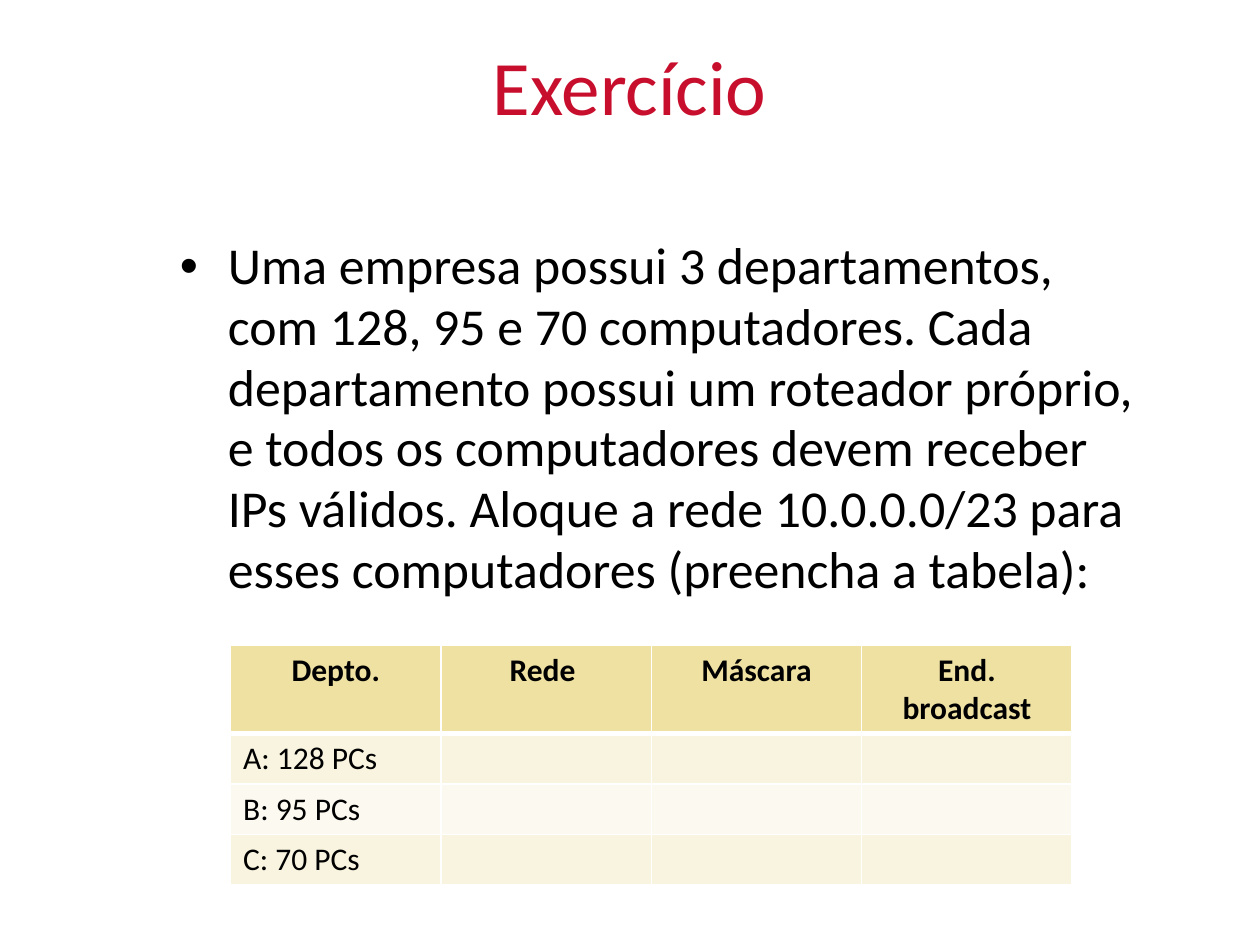
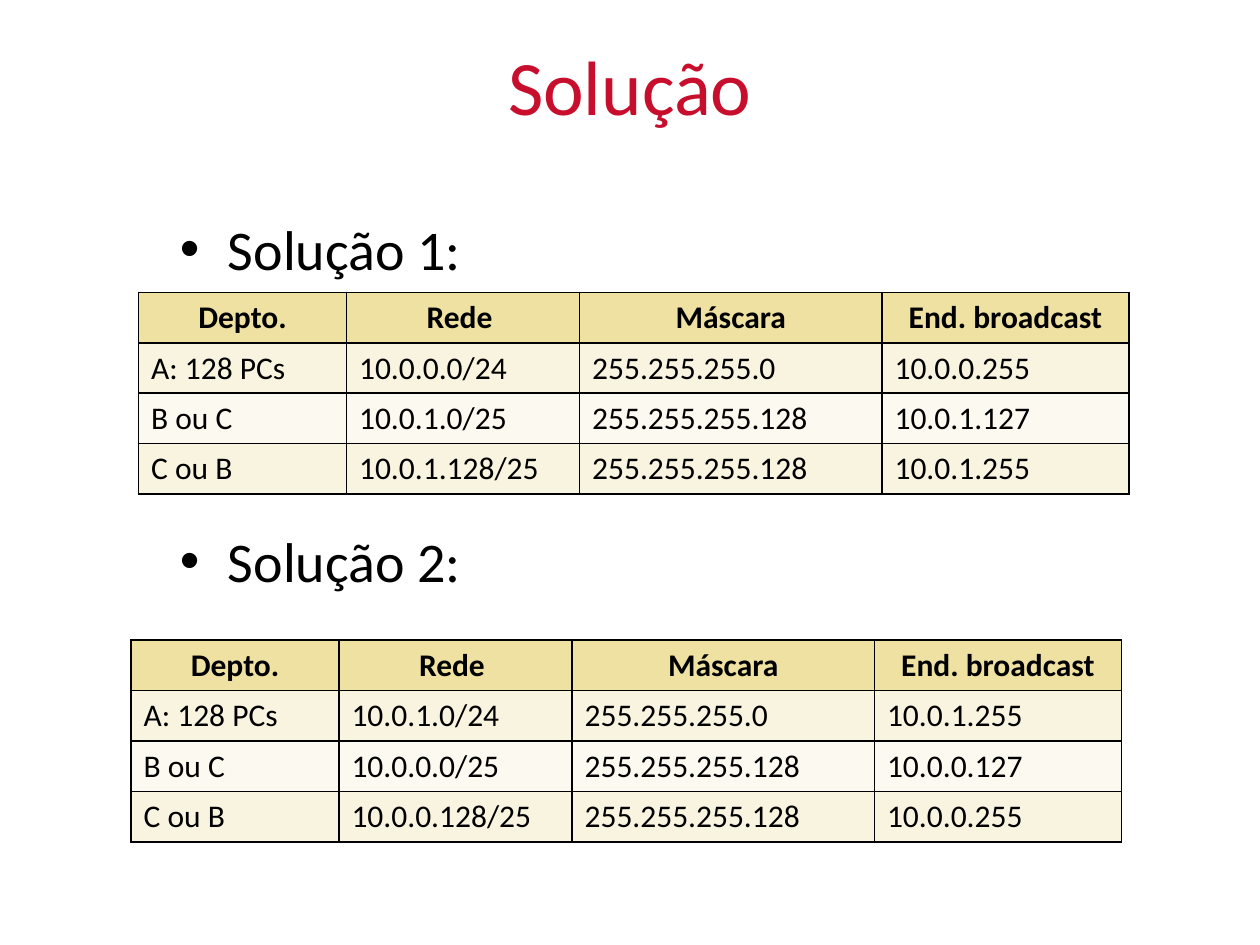
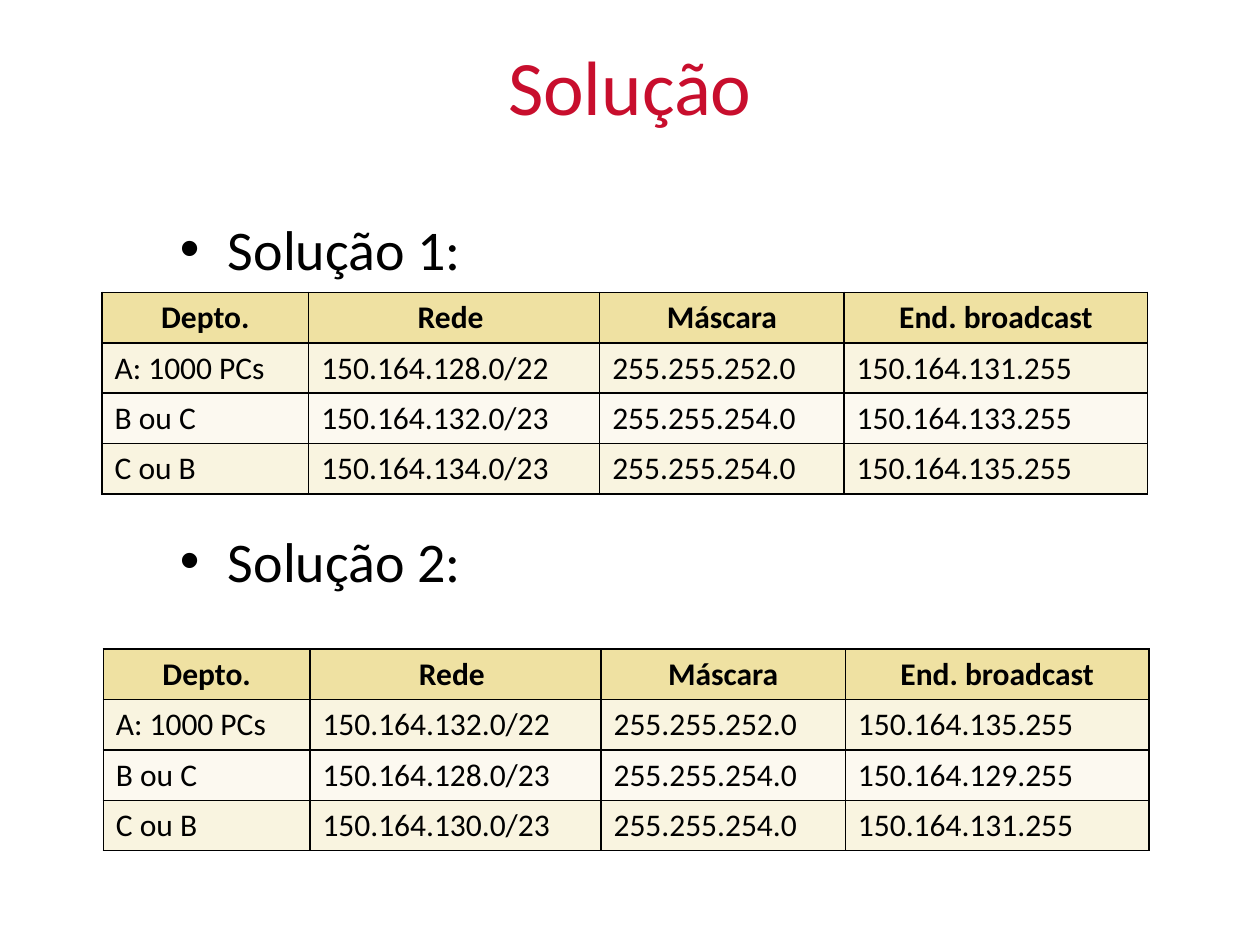
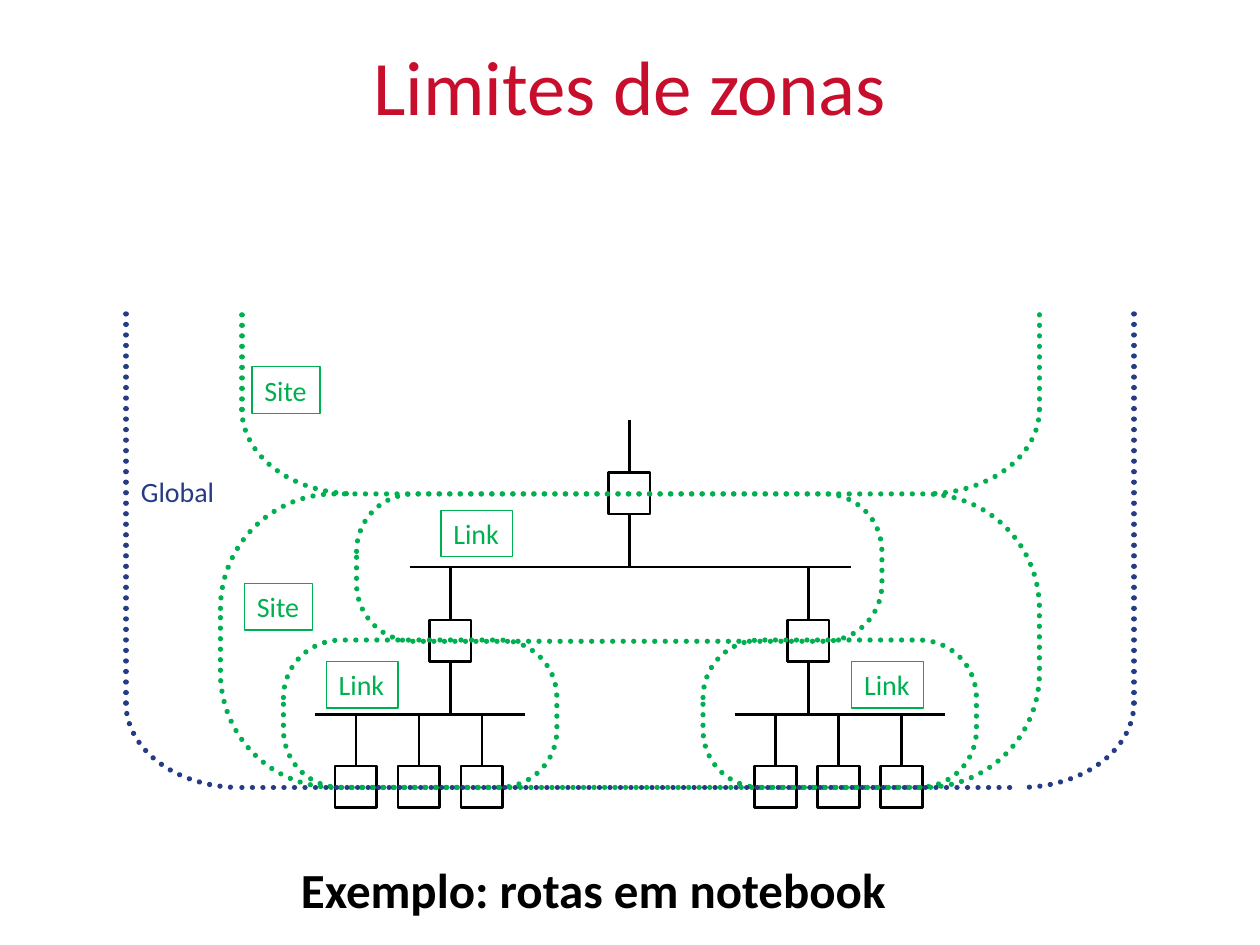
"""Build four slides on IP subnetting and address zones."""
from math import cos, pi, sin

from lxml import etree
from pptx import Presentation
from pptx.dml.color import RGBColor
from pptx.enum.dml import MSO_LINE
from pptx.enum.shapes import MSO_CONNECTOR, MSO_SHAPE
from pptx.enum.text import MSO_ANCHOR, MSO_AUTO_SIZE, PP_ALIGN
from pptx.oxml.ns import qn
from pptx.util import Inches, Pt

RED = RGBColor(0xC8, 0x0E, 0x2D)
BLACK = RGBColor(0, 0, 0)
WHITE = RGBColor(0xFF, 0xFF, 0xFF)
GREEN = RGBColor(0x00, 0xB0, 0x50)
BLUE = RGBColor(0x26, 0x3B, 0x86)
GOLD = RGBColor(0xEF, 0xE1, 0xA2)
CREAM = RGBColor(0xF9, 0xF4, 0xE0)
PALE = RGBColor(0xFC, 0xF9, 0xF0)
FILLS = [GOLD, CREAM, PALE, CREAM]
FONT = "Calibri"
LEFT, CENTER = PP_ALIGN.LEFT, PP_ALIGN.CENTER
MIDDLE = MSO_ANCHOR.MIDDLE
GROW = MSO_AUTO_SIZE.SHAPE_TO_FIT_TEXT
STRAIGHT = MSO_CONNECTOR.STRAIGHT
RECT, ROUND = MSO_SHAPE.RECTANGLE, MSO_SHAPE.ROUNDED_RECTANGLE
DOT = MSO_LINE.ROUND_DOT


def write(par, words, size, color, bold=False, align=LEFT):
    par.alignment = align
    run = par.add_run()
    run.text = words
    run.font.name = FONT
    run.font.size = Pt(size)
    run.font.bold = bold
    run.font.color.rgb = color


def stroke(item, color, width, dotted=False):
    item.line.color.rgb = color
    item.line.width = Pt(width)
    props = item._element.spPr
    if dotted:
        item.line.dash_style = DOT
        props.find(qn("a:ln")).set("cap", "rnd")
    if hasattr(item, "fill"):
        item.fill.background()
    etree.SubElement(props, qn("a:effectLst"))


HEAD = ["Depto.", "Rede ", "Máscara", "End. broadcast"]
TASK = (
    "Uma empresa possui 3 departamentos, com 128, 95 e 70 computadores. "
    "Cada departamento possui um roteador próprio, e todos os computadores "
    "devem receber IPs válidos. Aloque a rede 10.0.0.0/23 para esses "
    "computadores (preencha a tabela):"
)
ANSWERS = ["Solução 1:", "Solução 2:"]
SMALL = [1.65, 1.85, 2.4, 1.96]
LARGE = [1.64, 2.31, 1.94, 2.41]
PAGES = [
    ("Exercício", 1.82, 3.3, 29.6, 0.98, [TASK], [
        (1.83, 5.12, [1.67] * 4, 0.7, WHITE, [
            ["A: 128 PCs", "", "", ""],
            ["B: 95 PCs", "", "", ""],
            ["C: 70 PCs", "", "", ""]]),
    ]),
    ("Solução", 1.65, 4.5, 32, 1.0, ANSWERS, [
        (1.1, 2.32, SMALL, 0.4, BLACK, [
            ["A: 128 PCs", "10.0.0.0/24", "255.255.255.0", "10.0.0.255"],
            ["B ou C", "10.0.1.0/25", "255.255.255.128", "10.0.1.127"],
            ["C ou B", "10.0.1.128/25", "255.255.255.128", "10.0.1.255"]]),
        (1.04, 5.08, SMALL, 0.4, BLACK, [
            ["A: 128 PCs", "10.0.1.0/24", "255.255.255.0", "10.0.1.255"],
            ["B ou C", "10.0.0.0/25", "255.255.255.128", "10.0.0.127"],
            ["C ou B", "10.0.0.128/25", "255.255.255.128", "10.0.0.255"]]),
    ]),
    ("Solução", 1.65, 4.5, 32, 1.0, ANSWERS, [
        (0.81, 2.32, LARGE, 0.4, BLACK, [
            ["A: 1000 PCs", "150.164.128.0/22", "255.255.252.0", "150.164.131.255"],
            ["B ou C", "150.164.132.0/23", "255.255.254.0", "150.164.133.255"],
            ["C ou B", "150.164.134.0/23", "255.255.254.0", "150.164.135.255"]]),
        (0.82, 5.15, LARGE, 0.4, BLACK, [
            ["A: 1000 PCs", "150.164.132.0/22", "255.255.252.0", "150.164.135.255"],
            ["B ou C", "150.164.128.0/23", "255.255.254.0", "150.164.129.255"],
            ["C ou B", "150.164.130.0/23", "255.255.254.0", "150.164.131.255"]]),
    ]),
    ("Limites de zonas", 0, 0, 0, 1.0, [], []),
]

deck = Presentation()
deck.slide_width, deck.slide_height = Inches(10), Inches(7.5)

for title, top, height, size, pitch, points, tables in PAGES:
    slide = deck.slides.add_slide(deck.slide_layouts[6])
    shapes = slide.shapes
    frame = shapes.add_textbox(Inches(0.5), Inches(0.05), Inches(9), Inches(1.25)).text_frame
    frame.word_wrap = True
    frame.vertical_anchor = MIDDLE
    write(frame.paragraphs[0], title, 44, RED, align=CENTER)

    if points:
        body = shapes.add_textbox(Inches(1.33), Inches(top), Inches(7.91), Inches(height)).text_frame
        body.word_wrap = True
    for n, point in enumerate(points):
        par = body.add_paragraph() if n else body.paragraphs[0]
        props = par._p.get_or_add_pPr()
        props.set("marL", str(Inches(0.38)))
        props.set("indent", str(-Inches(0.38)))
        etree.SubElement(props, qn("a:buFont")).set("typeface", "Arial")
        etree.SubElement(props, qn("a:buChar")).set("char", "•")
        par.line_spacing = pitch
        if n:
            par.space_before = Pt(140)
        write(par, point, size, BLACK)

    for x, y, widths, first, edge, rows in tables:
        grid = shapes.add_table(
            4, 4, Inches(x), Inches(y), Inches(sum(widths)), Inches(first + 1.2)).table
        grid.horz_banding = False
        for col, width in zip(grid.columns, widths):
            col.width = Inches(width)
        for r, cells in enumerate([HEAD] + rows):
            grid.rows[r].height = Inches(0.4 if r else first)
            for c, words in enumerate(cells):
                cell = grid.cell(r, c)
                props = cell._tc.get_or_add_tcPr()
                for side in "LRTB":
                    thick = edge == WHITE and (r, side) in ((0, "B"), (1, "T"))
                    rule = etree.SubElement(props, qn("a:ln" + side))
                    rule.set("w", str(Pt(3 if thick else 1)))
                    paint = etree.SubElement(rule, qn("a:solidFill"))
                    etree.SubElement(paint, qn("a:srgbClr")).set("val", str(edge))
                cell.fill.solid()
                cell.fill.fore_color.rgb = FILLS[r]
                if words:
                    write(cell.text_frame.paragraphs[0], words, 18, BLACK,
                          r == 0, LEFT if r else CENTER)

HOSTS = [start + 0.33 + 0.5 * n for start in (2.5, 5.83) for n in range(3)]
NODES = [(mid, 6.08, False) for mid in HOSTS]
NODES += [(3.58, 4.92, True), (6.42, 4.92, True), (5, 3.75, True)]
for mid, top, router in NODES:
    box = shapes.add_shape(RECT, Inches(mid - 0.17), Inches(top), Inches(0.33), Inches(0.33))
    stroke(box, BLACK, 1.5)
    stems = [(0, top, top - 0.42)]
    if router:
        stems.append((2, top + 0.33, top + 0.75))
    for site, near, far in stems:
        stem = shapes.add_connector(
            STRAIGHT, Inches(mid), Inches(near), Inches(mid), Inches(far))
        stem.begin_connect(box, site)
        stem.end_x = stem.begin_x
        stroke(stem, BLACK, 1.5)

for x, end, y in [(2.5, 4.17, 5.67), (5.83, 7.5, 5.67), (3.25, 6.75, 4.5)]:
    bus = shapes.add_connector(STRAIGHT, Inches(x), Inches(y), Inches(end), Inches(y))
    stroke(bus, BLACK, 1.5)

ZONES = [
    (2.25, 5.08, 2.17, 1.17),
    (5.58, 5.08, 2.17, 1.17),
    (2.83, 3.92, 4.17, 1.17),
    (1.75, 3.92, 6.5, 2.33),
]
for place in ZONES:
    zone = shapes.add_shape(ROUND, *map(Inches, place))
    zone.adjustments[0] = 0.39
    stroke(zone, GREEN, 3, True)

for x, turn, way, color in [
    (1.92, 3.25, 1, GREEN), (8.25, 3.25, -1, GREEN),
    (1, 5.58, 1, BLUE), (9, 5.58, -1, BLUE),
]:
    bend = [
        (Inches(x + way * 0.9 * (1 - cos(a))), Inches(turn + 0.67 * sin(a)))
        for a in (n * pi / 48 for n in range(25))
    ]
    path = shapes.build_freeform(*bend[0])
    path.add_line_segments(bend[1:], close=False)
    stroke(path.convert_to_shape(), color, 3, True)
    side = shapes.add_connector(STRAIGHT, Inches(x), Inches(turn), Inches(x), Inches(2.42))
    stroke(side, color, 3, True)
base = shapes.add_connector(STRAIGHT, Inches(1.92), Inches(6.25), Inches(8.08), Inches(6.25))
stroke(base, BLUE, 3, True)

for words, x, y, width in [
    ("Link", 2.59, 5.25, 0.57), ("Link", 6.76, 5.25, 0.57), ("Link", 3.5, 4.05, 0.57),
    ("Site", 1.94, 4.63, 0.54), ("Site", 2, 2.91, 0.54),
]:
    tag = shapes.add_shape(RECT, Inches(x), Inches(y), Inches(width), Inches(0.37))
    stroke(tag, GREEN, 0.75)
    tag.text_frame.word_wrap = False
    tag.text_frame.auto_size = GROW
    tag.text_frame.vertical_anchor = MIDDLE
    write(tag.text_frame.paragraphs[0], words, 16, GREEN)

for words, x, y, width, height, size, color, bold in [
    ("Global", 1.02, 3.72, 0.89, 0.37, 16, BLUE, False),
    ("Exemplo: rotas em notebook", 2.29, 6.77, 5.6, 0.57, 28, BLACK, True),
]:
    note = shapes.add_textbox(Inches(x), Inches(y), Inches(width), Inches(height)).text_frame
    note.word_wrap = False
    note.auto_size = GROW
    write(note.paragraphs[0], words, size, color, bold)

deck.save("out.pptx")
